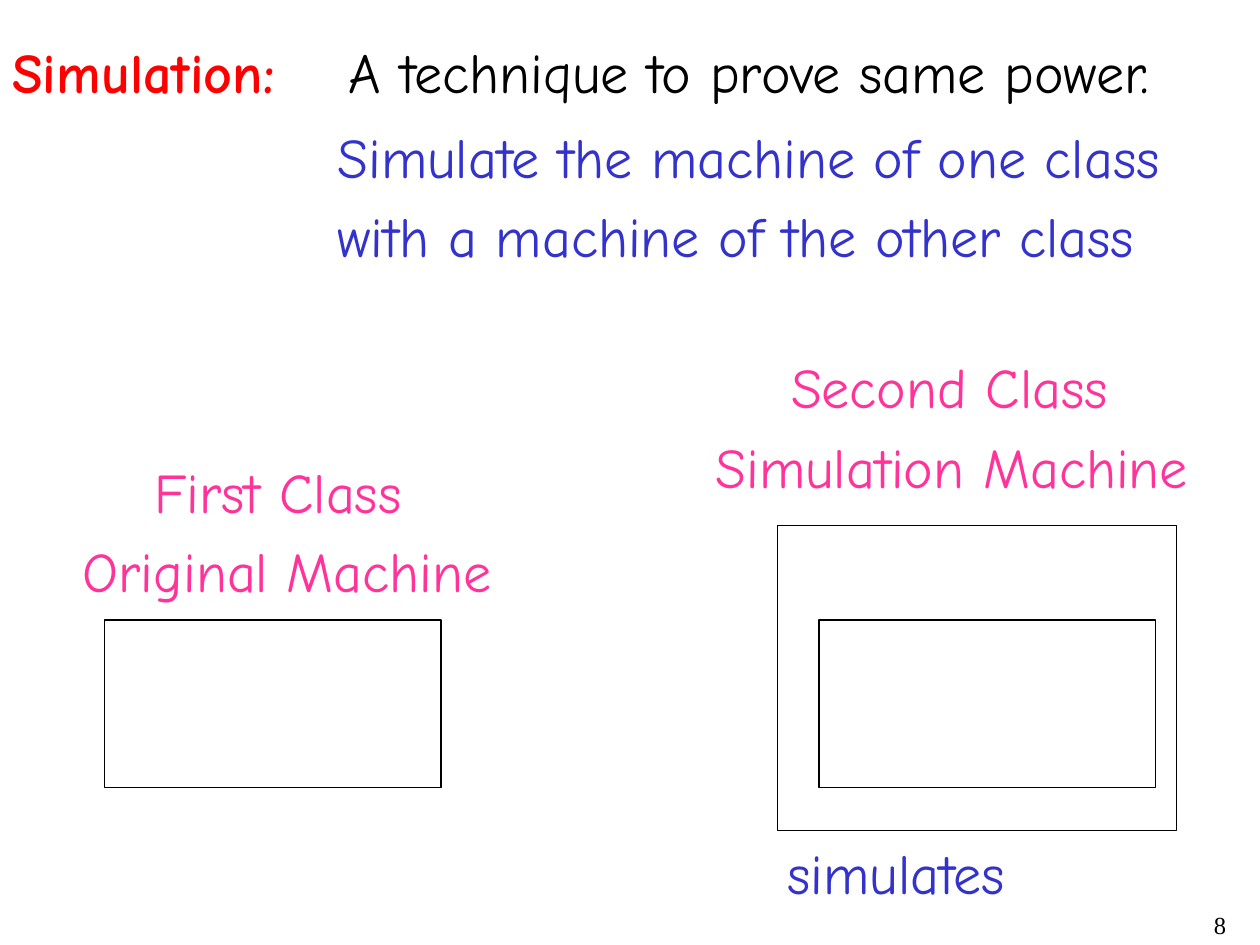
from pptx import Presentation
from pptx.dml.color import RGBColor as RGB
from pptx.enum.shapes import MSO_SHAPE as Shape
from pptx.enum.text import MSO_AUTO_SIZE as Fit, PP_ALIGN as Align
from pptx.util import Inches, Pt

HUES = {"black": "000000", "red": "FF0000", "blue": "3333CC", "pink": "FF3399"}


class Deck:
    """Holds the text style and the current slide."""
    font, size, gap = "Comic Neue", 32, 7

    def __init__(self):
        self.prs = Presentation()
        self.prs.slide_width, self.prs.slide_height = Inches(10), Inches(7.5)
        self.slide = self.prs.slides.add_slide(self.prs.slide_layouts[6])

    def text(self, place, lines, hue, align=Align.LEFT, bold=False,
             font=None, size=None, wrap=False):
        box = self.slide.shapes.add_textbox(*map(Inches, place))
        frame = box.text_frame
        frame.text = "\n".join(lines)
        frame.word_wrap = wrap
        frame.auto_size = Fit.NONE if wrap else Fit.SHAPE_TO_FIT_TEXT
        for i, para in enumerate(frame.paragraphs):
            para.alignment = align
            if i:
                para.space_before = Pt(self.gap)
            for run in para.runs:
                run.font.name = font or self.font
                run.font.size = Pt(size or self.size)
                run.font.bold = bold
                run.font.color.rgb = RGB.from_string(HUES[hue])
        return frame

    def rect(self, *place):
        box = self.slide.shapes.add_shape(Shape.RECTANGLE, *map(Inches, place))
        box.shadow.inherit = False
        box.fill.background()
        box.line.color.rgb = RGB.from_string(HUES["black"])
        box.line.width = Pt(0.75)


def main():
    deck = Deck()
    deck.text((7.75, 7.17, 2.08, 0.33), ["8"], "black", Align.RIGHT,
              font="Times New Roman", size=14, wrap=True)

    deck.text((0, 0.25, 2.57, 0.63), ["Simulation:"], "red", bold=True)
    deck.text((2.67, 0.25, 7.16, 0.63),
              ["A technique to prove same power."], "black")
    deck.text((2.58, 0.92, 7.23, 1.27),
              ["Simulate the machine of one class",
               "with a machine of the other class"], "blue")

    deck.text((0.44, 3.58, 3.68, 1.27),
              ["First Class ", "Original Machine"], "pink", Align.CENTER)
    second = deck.text((5.58, 2.75, 4.2, 1.27),
                       ["Second Class", "Simulation Machine"], "pink")
    second.paragraphs[0]._p.get_or_add_pPr().set("marL", str(Inches(0.6)))

    deck.rect(6.17, 4.17, 3.17, 2.42)
    for left in (0.83, 6.5):
        deck.rect(left, 4.92, 2.67, 1.33)
    deck.text((6.15, 6.61, 2.14, 0.63), ["simulates"], "blue")

    deck.prs.save("out.pptx")


if __name__ == "__main__":
    main()
